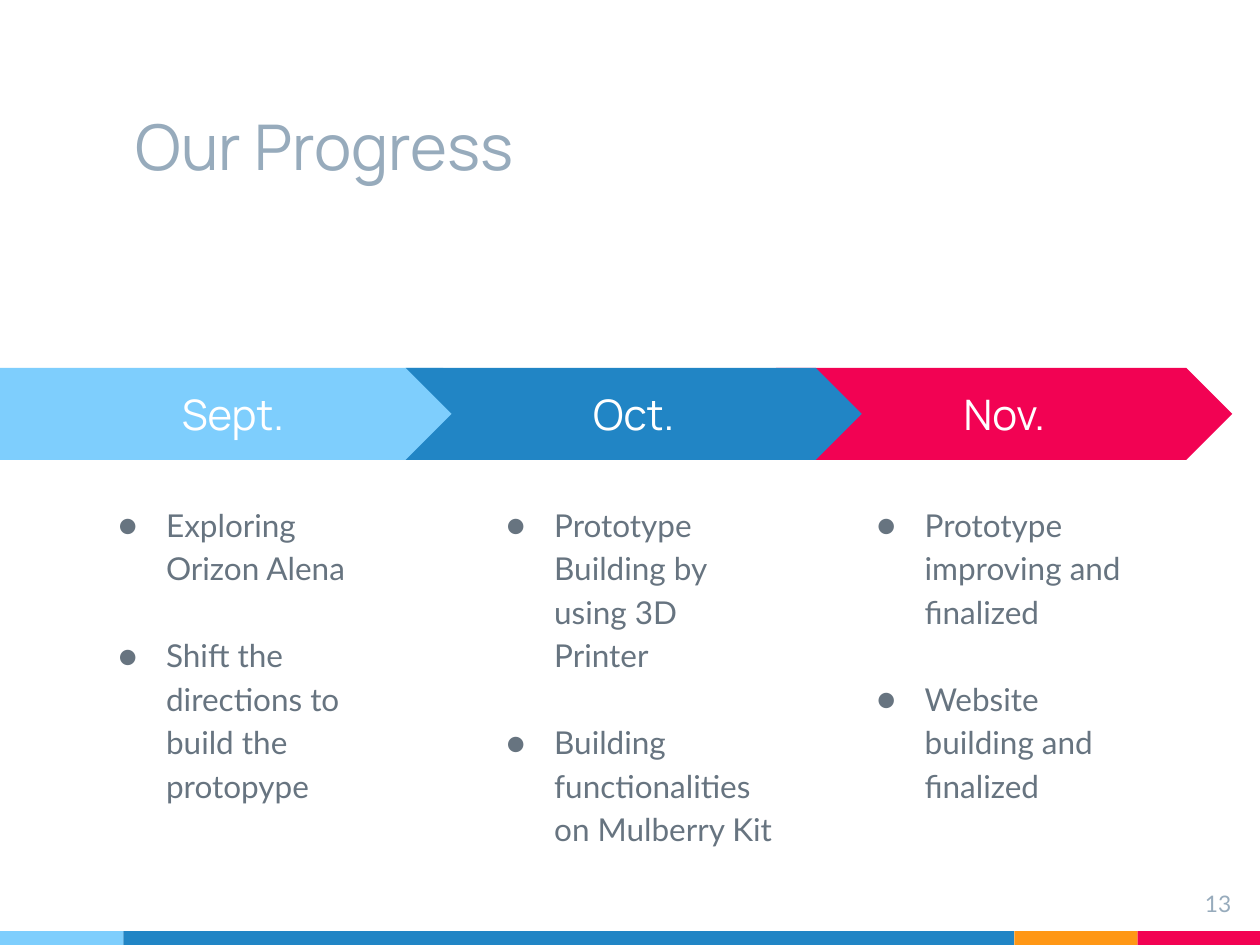
from lxml.etree import SubElement
from pptx import Presentation
from pptx.dml.color import RGBColor
from pptx.enum.shapes import MSO_SHAPE
from pptx.enum.text import MSO_ANCHOR, PP_ALIGN
from pptx.oxml.ns import qn
from pptx.util import Inches, Pt

SKY = RGBColor(0x7E, 0xCE, 0xFD)
BLUE = RGBColor(0x21, 0x85, 0xC5)
ORANGE = RGBColor(0xFF, 0x97, 0x15)
CRIMSON = RGBColor(0xF2, 0x02, 0x53)
MIST = RGBColor(0x97, 0xAB, 0xBC)
SLATE = RGBColor(0x67, 0x74, 0x80)
WHITE = RGBColor(0xFF, 0xFF, 0xFF)


class ProgressSlide:
    heading_font = "Manrope"
    body_font = "Lato"
    inset = Inches(0.1)

    def __init__(self, slide):
        self.slide = slide

    def _prepare(self, frame, anchor):
        frame.word_wrap = True
        frame.vertical_anchor = anchor
        frame.margin_left = frame.margin_right = self.inset
        frame.margin_top = frame.margin_bottom = self.inset

    def _write(self, paragraph, text, font_name, size, color):
        paragraph.text = text
        for run in paragraph.runs:
            run.font.name = font_name
            run.font.size = Pt(size)
            run.font.color.rgb = color

    def block(self, preset, left, top, width, height, color):
        block = self.slide.shapes.add_shape(
            preset, Inches(left), Inches(top), Inches(width), Inches(height))
        block.shadow.inherit = False
        block.fill.solid()
        block.fill.fore_color.rgb = color
        block.line.fill.background()
        return block

    def month(self, preset, left, width, name, color):
        arrow = self.block(preset, left, 2.92, width, 0.73, color)
        frame = arrow.text_frame
        self._prepare(frame, MSO_ANCHOR.MIDDLE)
        self._write(frame.paragraphs[0], name, self.heading_font, 24, WHITE)
        frame.paragraphs[0].alignment = PP_ALIGN.CENTER

    def text(self, left, top, width, height, text, font_name, size,
             anchor=MSO_ANCHOR.TOP, align=PP_ALIGN.LEFT):
        box = self.slide.shapes.add_textbox(
            Inches(left), Inches(top), Inches(width), Inches(height))
        self._prepare(box.text_frame, anchor)
        paragraph = box.text_frame.paragraphs[0]
        self._write(paragraph, text, font_name, size, MIST)
        paragraph.alignment = align

    def bullets(self, left, tasks):
        box = self.slide.shapes.add_textbox(
            Inches(left), Inches(3.87), Inches(2.45), Inches(2.86))
        frame = box.text_frame
        self._prepare(frame, MSO_ANCHOR.TOP)
        for index, task in enumerate(tasks):
            paragraph = frame.add_paragraph() if index else frame.paragraphs[0]
            self._write(paragraph, task, self.body_font, 18, SLATE)
            paragraph.line_spacing = 1.15
            if index:
                paragraph.space_before = Pt(24.8)
            self._mark(paragraph)

    def _mark(self, paragraph):
        properties = paragraph._p.get_or_add_pPr()
        properties.set("marL", str(Inches(0.5)))
        properties.set("indent", str(-Inches(0.38)))
        color = SubElement(properties, qn("a:buClr"))
        SubElement(color, qn("a:srgbClr"), val=str(SLATE))
        SubElement(properties, qn("a:buFont"), typeface=self.body_font)
        SubElement(properties, qn("a:buChar"), char="●")


def main():
    presentation = Presentation()
    presentation.slide_width = Inches(10)
    presentation.slide_height = Inches(7.5)
    progress = ProgressSlide(
        presentation.slides.add_slide(presentation.slide_layouts[6]))

    # Footer stripe
    left = 0
    for width, color in ((0.98, SKY), (7.07, BLUE), (0.98, ORANGE), (0.97, CRIMSON)):
        progress.block(MSO_SHAPE.RECTANGLE, left, 7.39, width, 0.11, color)
        left += width

    # Title
    progress.text(0.98, 0.3, 7.07, 1.25, "Our Progress",
                  progress.heading_font, 36, anchor=MSO_ANCHOR.BOTTOM)

    # Months, ordered so that October overlaps both neighbours
    months = (
        ("Nov.", MSO_SHAPE.CHEVRON, 6.16, 3.62, CRIMSON, 6.74,
         ("Prototype improving and finalized", "Website building and finalized")),
        ("Sept.", MSO_SHAPE.PENTAGON, 0, 3.88, SKY, 0.72,
         ("Exploring Orizon Alena", "Shift the directions to build the protopype")),
        ("Oct.", MSO_SHAPE.CHEVRON, 3.22, 3.62, BLUE, 3.8,
         ("Prototype Building by using 3D Printer",
          "Building functionalities on Mulberry Kit")),
    )
    for name, preset, arrow_left, width, color, tasks_left, tasks in months:
        progress.month(preset, arrow_left, width, name, color)
        progress.bullets(tasks_left, tasks)

    # Page number
    progress.text(9.27, 6.96, 0.6, 0.46, "13", progress.body_font, 13,
                  align=PP_ALIGN.RIGHT)

    presentation.save("out.pptx")


if __name__ == "__main__":
    main()
